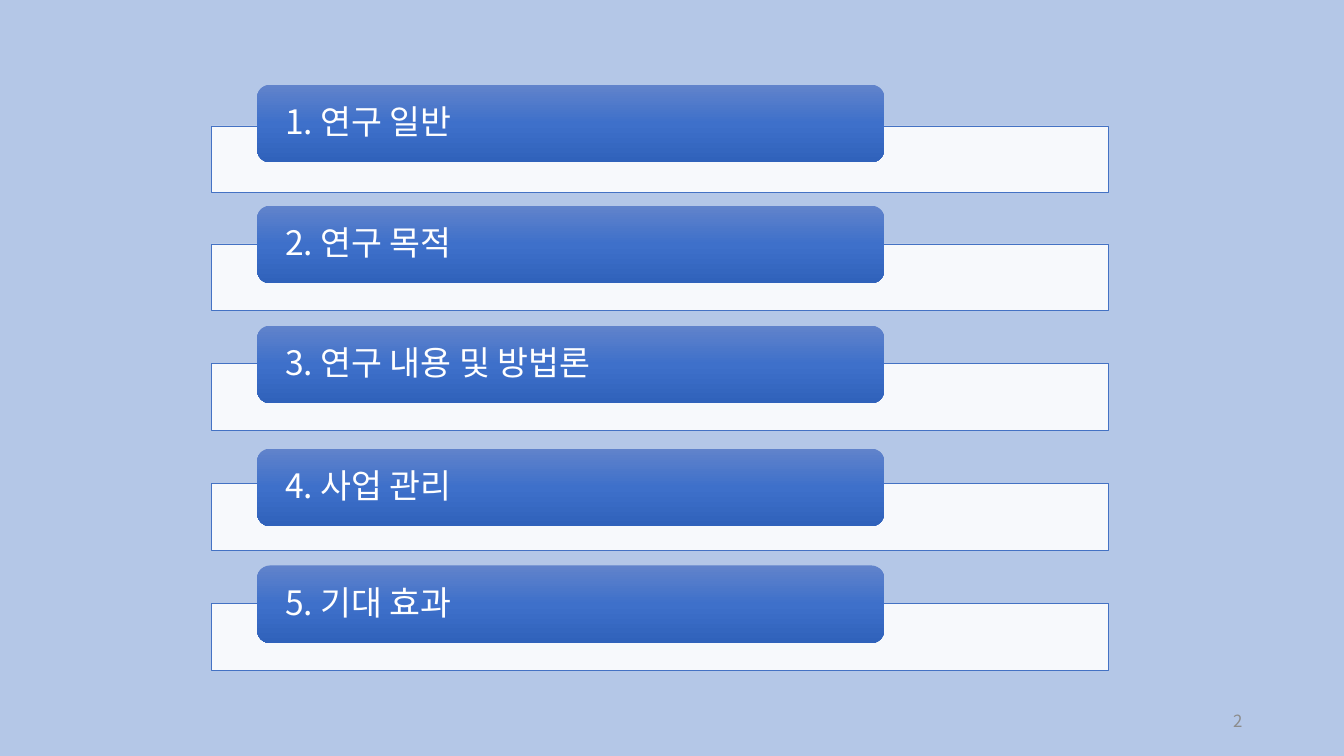
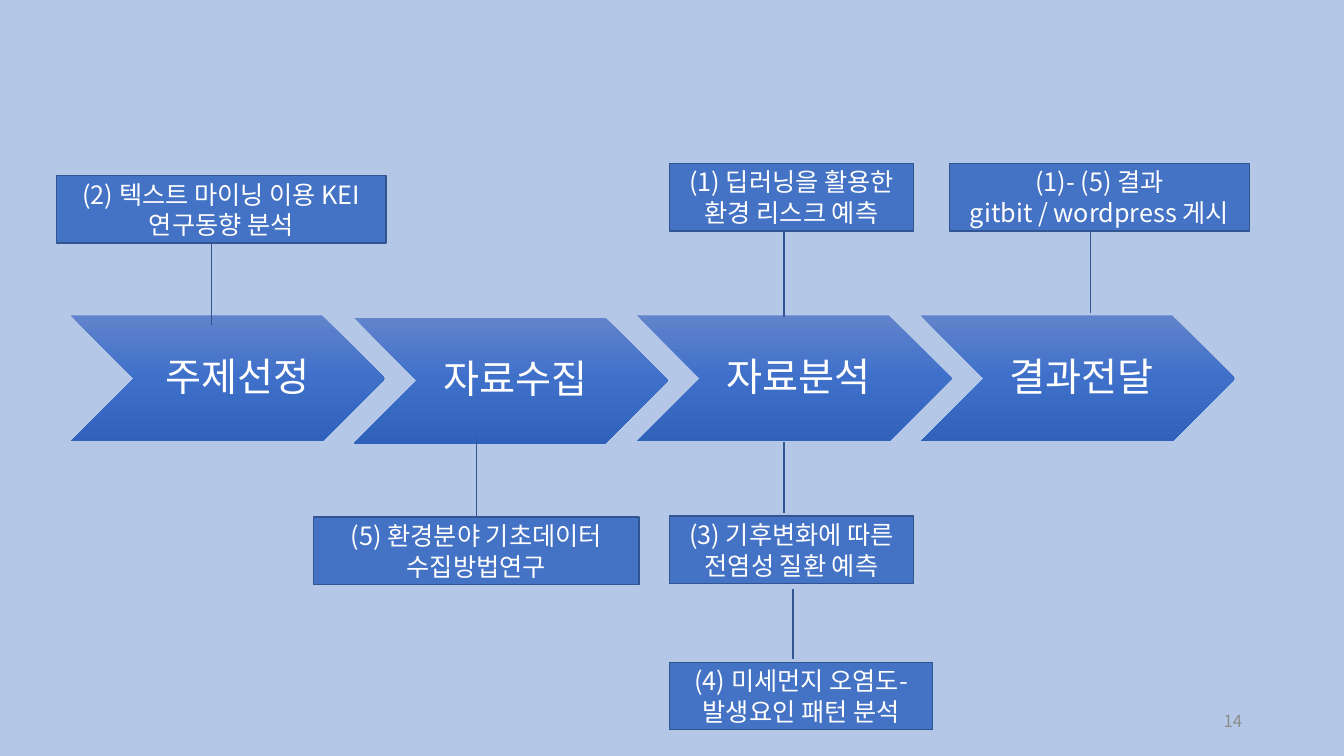
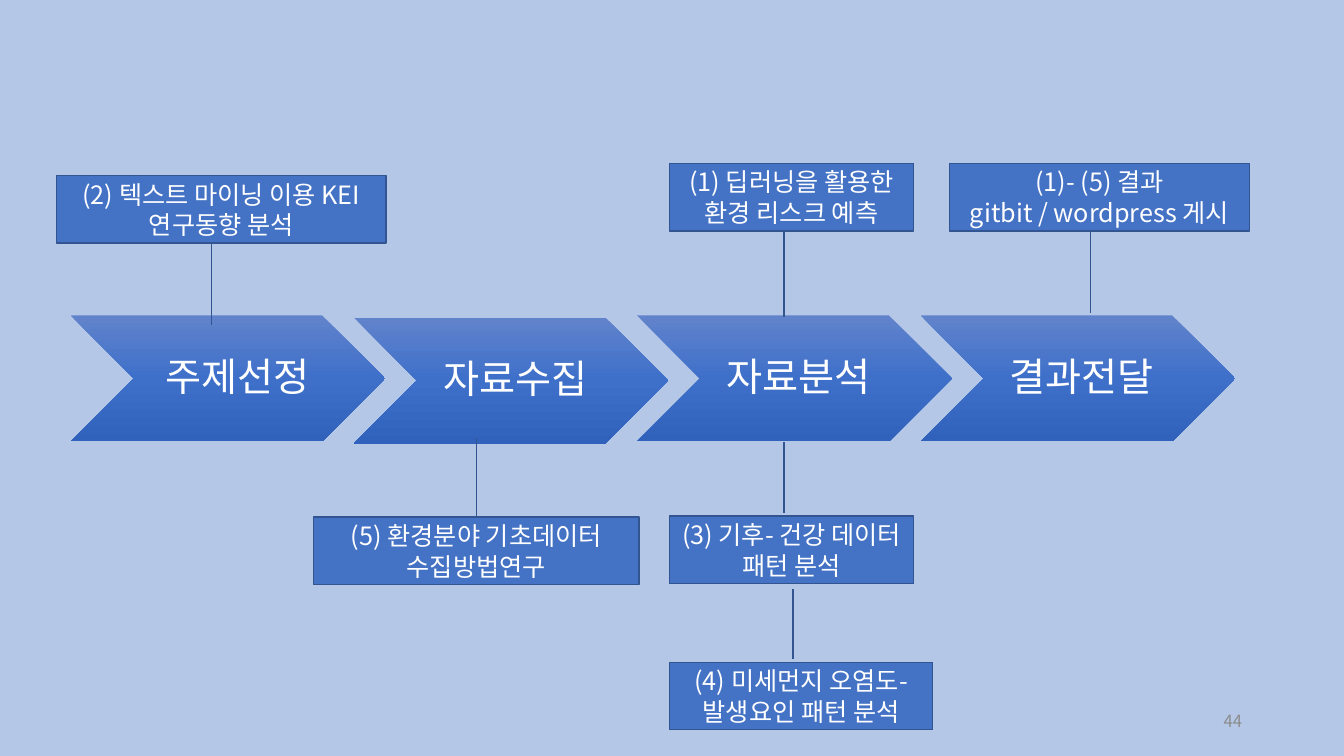
"""Build an agenda slide and two process slides with callouts."""
from copy import deepcopy

from lxml.etree import SubElement
from pptx import Presentation
from pptx.dml.color import RGBColor
from pptx.enum.shapes import MSO_SHAPE
from pptx.enum.text import MSO_ANCHOR, PP_ALIGN
from pptx.oxml.ns import qn
from pptx.util import Inches, Pt

FONT = "Noto Sans CJK KR"
SKY = RGBColor(0xB4, 0xC7, 0xE7)
BLUE = RGBColor(0x44, 0x72, 0xC4)
NAVY = RGBColor(0x32, 0x54, 0x91)
WHITE = RGBColor(0xFF, 0xFF, 0xFF)
GRAY = RGBColor(0x8C, 0x8C, 0x8C)
BLEND = (
    RGBColor(0x61, 0x83, 0xCB),
    RGBColor(0x3E, 0x70, 0xCA),
    RGBColor(0x30, 0x62, 0xBB),
)

AGENDA = [
    ("1. 연구 일반", 1.25, 0.84),
    ("2. 연구 목적", 2.42, 2.04),
    ("3. 연구 내용 및 방법론", 3.61, 3.23),
    ("4. 사업 관리", 4.8, 4.45),
    ("5. 기대 효과", 5.99, 5.61),
]
STEPS = [
    ("주제선정", 3.13, 0.24),
    ("자료수집", 3.15, 0.12),
    ("자료분석", 3.13, 0.12),
    ("결과전달", 3.13, 0.12),
]
NOTES = [
    ("(2) 텍스트 마이닝 이용 KEI 연구동향 분석", 0.56, 1.74, 3.27, 0.47, 0.99, 2.21),
    ("(5) 환경분야 기초데이터 수집방법연구", 3.11, 5.13, 3.23, 0.5, -0.02, -1.17),
    ("(1) 딥러닝을 활용한 환경 리스크 예측", 6.64, 1.62, 2.42, 0.47, 0.99, 2.28),
    ("(1)- (5) 결과\ngitbit / wordpress 게시", 9.42, 1.62, 2.97, 0.47, 0.99, 2.21),
    ("(4) 미세먼지 오염도- 발생요인 패턴 분석", 6.64, 6.57, 2.61, 0.47, -0.05, -1.09),
]
STUDY = (6.64, 5.12, 2.42, 0.47, -0.05, -1.1)


def write(shape, text, size=18, color=WHITE, align=PP_ALIGN.CENTER,
          space=1.0, inset=(0.1, 0.05, 0.1, 0.05)):
    frame = shape.text_frame
    frame.word_wrap = True
    frame.vertical_anchor = MSO_ANCHOR.MIDDLE
    (frame.margin_left, frame.margin_top,
     frame.margin_right, frame.margin_bottom) = map(Inches, inset)
    frame.text = text
    for para in frame.paragraphs:
        para.alignment = align
        para.line_spacing = space
        for run in para.runs:
            run.font.size = Pt(size)
            run.font.name = FONT
            run.font.color.rgb = color
            SubElement(run.font._element, qn("a:ea"), typeface=FONT)


def draw(slide, kind, left, top, width, height, fill=None, line=None, weight=1):
    shape = slide.shapes.add_shape(
        kind, Inches(left), Inches(top), Inches(width), Inches(height))
    shape.shadow.inherit = False
    if fill is None:
        blend(shape)
    else:
        shape.fill.solid()
        shape.fill.fore_color.rgb = fill
    if line is None:
        shape.line.fill.background()
    else:
        shape.line.color.rgb = line
        shape.line.width = Pt(weight)
    return shape


def blend(shape):
    shape.fill.gradient()
    shape.fill.gradient_angle = 270
    first = shape._element.spPr.find(".//" + qn("a:gs"))
    first.addnext(deepcopy(first))
    for i, stop in enumerate(shape.fill.gradient_stops):
        stop.color.rgb = BLEND[i]
        stop.position = i / 2


def add_bar(slide, top):
    bar = draw(slide, MSO_SHAPE.RECTANGLE, 2.1, top, 8.89, 0.66, WHITE, BLUE, 0.5)
    tint = bar._element.spPr.find(qn("a:solidFill")).find(qn("a:srgbClr"))
    SubElement(tint, qn("a:alpha"), val="90000")


def add_tab(slide, text, top):
    tab = draw(slide, MSO_SHAPE.ROUNDED_RECTANGLE, 2.55, top, 6.22, 0.77)
    write(tab, text, size=24, align=PP_ALIGN.LEFT, space=0.9, inset=(0.24, 0, 0.24, 0))


def add_step(slide, text, left, top, indent):
    step = draw(slide, MSO_SHAPE.CHEVRON, left, top, 3.12, 1.25)
    write(step, text, size=28, space=0.9, inset=(indent, 0.04, 0.04, 0.04))


def add_note(slide, text, left, top, width, mid, start, end):
    note = draw(slide, MSO_SHAPE.LINE_CALLOUT_1, left, top, width, 0.67, BLUE, NAVY)
    for i, value in enumerate((start, mid, end, mid)):
        note.adjustments[i] = value
    write(note, text)


def add_page(deck, number):
    slide = deck.slides.add_slide(deck.slide_layouts[6])
    box = slide.shapes.add_textbox(Inches(9.42), Inches(6.95), Inches(3), Inches(0.4))
    write(box, number, size=12, color=GRAY, align=PP_ALIGN.RIGHT)
    return slide


def add_flow(deck, number, study):
    slide = add_page(deck, number)
    for i, (text, top, indent) in enumerate(STEPS):
        add_step(slide, text, 0.7 + 2.81 * i, top, indent)
    for note in [*NOTES, (study, *STUDY)]:
        add_note(slide, *note)


def main():
    deck = Presentation()
    deck.slide_width, deck.slide_height = Inches(13.33), Inches(7.5)
    back = deck.slide_master.background.fill
    back.solid()
    back.fore_color.rgb = SKY

    slide = add_page(deck, "2")
    for text, bar_top, tab_top in AGENDA:
        add_bar(slide, bar_top)
        add_tab(slide, text, tab_top)
    add_flow(deck, "14", "(3) 기후변화에 따른 전염성 질환 예측")
    add_flow(deck, "44", "(3) 기후- 건강 데이터 패턴 분석")
    deck.save("out.pptx")


if __name__ == "__main__":
    main()
